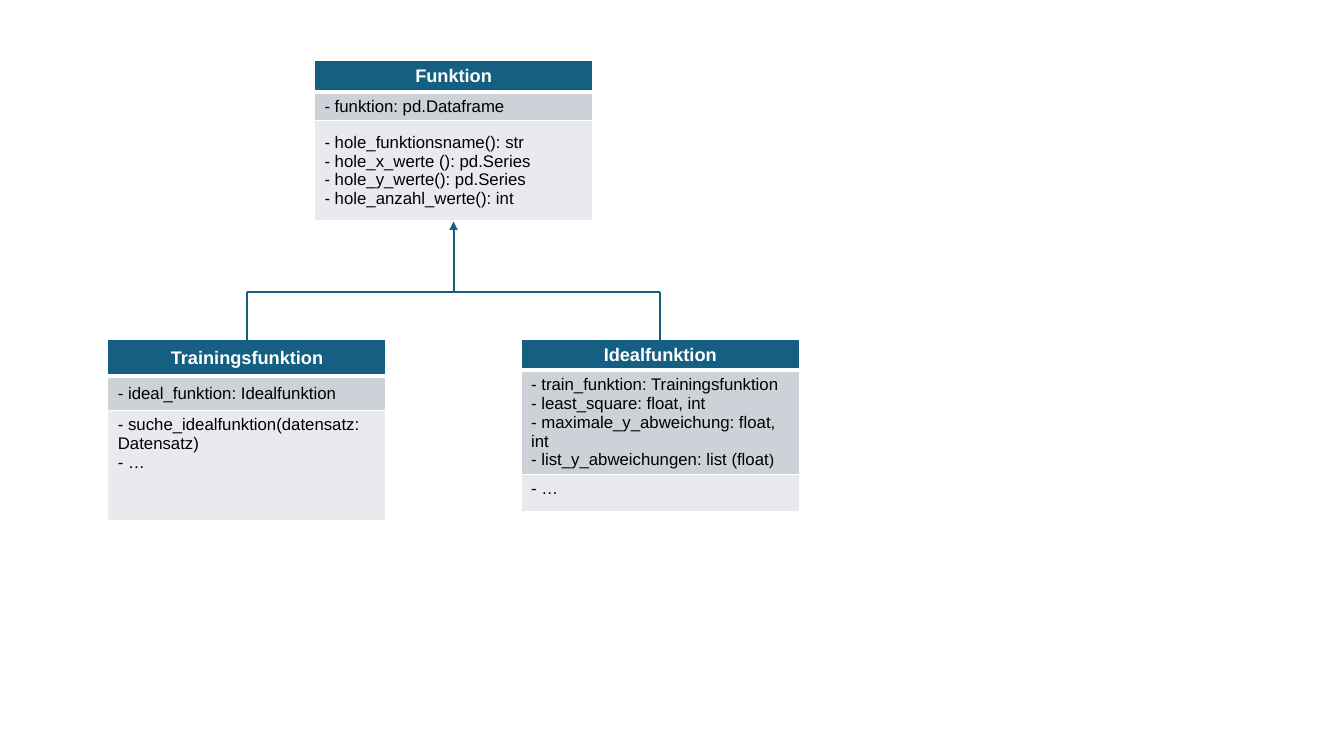
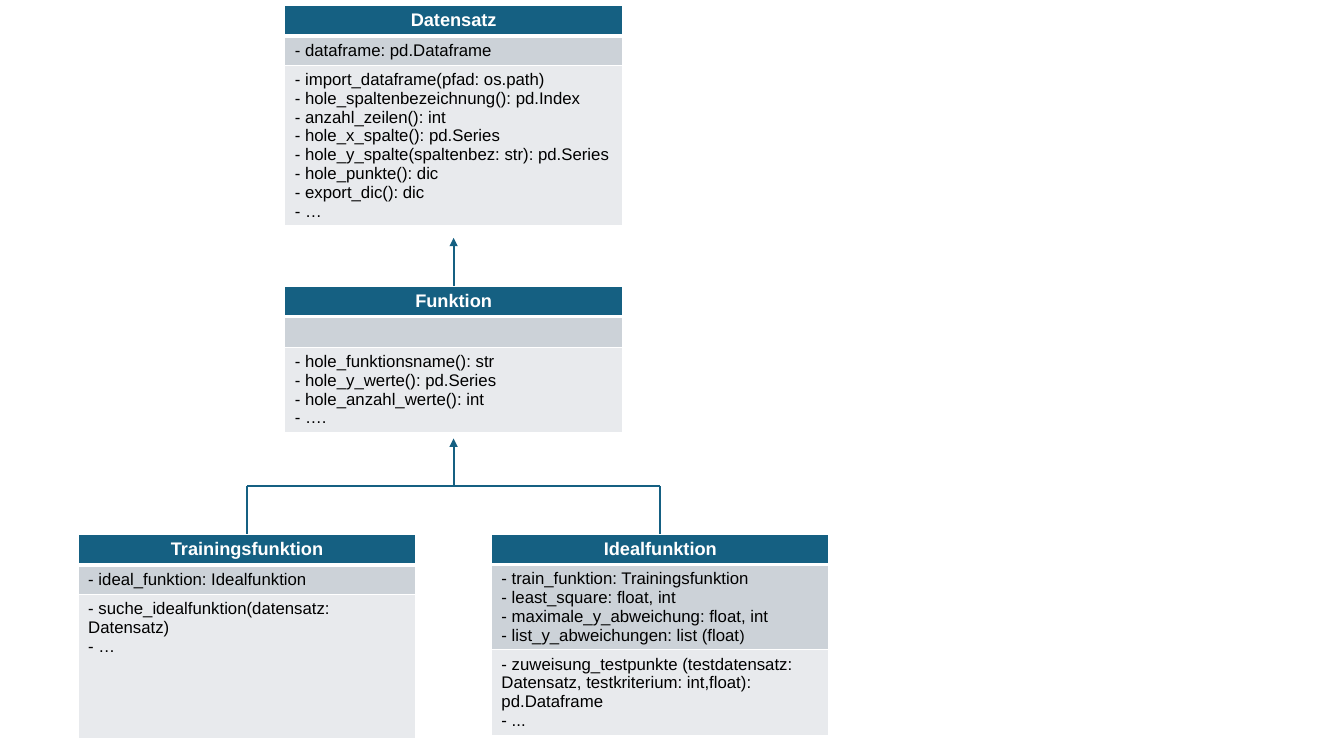
"""Build two class diagrams with tables for classes and lines for inheritance."""
from lxml import etree
from pptx import Presentation
from pptx.dml import color
from pptx.enum import shapes, text
from pptx.oxml import ns
from pptx.util import Pt

FONT = "Arial"
BLUE, GREY, PALE, WHITE, BLACK = "156082", "CCD2D8", "E8EAED", "FFFFFF", "000000"
LEFT, MIDDLE, RIGHT = 176.4, 324, 471.6
TOP_ANCHOR, MIDDLE_ANCHOR = text.MSO_ANCHOR.TOP, text.MSO_ANCHOR.MIDDLE

TRAINING_ATTRIBUTES = ["- ideal_funktion: Idealfunktion"]
TRAINING_METHODS = ["- suche_idealfunktion(datensatz: Datensatz)", "- …"]
IDEAL_ATTRIBUTES = [
    "- train_funktion: Trainingsfunktion",
    "- least_square: float, int",
    "- maximale_y_abweichung: float, int",
    ("- list_y_abweichungen: list (float", ")"),
]

DIAGRAMS = [
    {
        "width": 198.8,
        "classes": [
            {"name": "Funktion", "center": MIDDLE, "top": 43.2, "rows": (22.5, 20.2, 71),
             "anchor": MIDDLE_ANCHOR,
             "attributes": ["- funktion: pd.Dataframe"],
             "methods": ["- hole_funktionsname(): str", "- hole_x_werte (): pd.Series",
                         "- hole_y_werte(): pd.Series", "- hole_anzahl_werte(): int"]},
            {"name": "Trainingsfunktion", "center": LEFT, "top": 242.8, "rows": (26, 24.2, 78.6),
             "attributes": TRAINING_ATTRIBUTES, "methods": TRAINING_METHODS},
            {"name": "Idealfunktion", "center": RIGHT, "top": 242.8, "rows": (21.7, 73.8, 26.6),
             "attributes": IDEAL_ATTRIBUTES, "methods": ["- …"]},
        ],
        "branch": {"children": ("Trainingsfunktion", "Idealfunktion"), "y": 208.8, "tip": 158.2},
        "arrows": [],
    },
    {
        "width": 241.2,
        "classes": [
            {"name": "Datensatz", "center": MIDDLE, "top": 3.6, "rows": (22.3, 20.6, 114.6),
             "anchor": MIDDLE_ANCHOR,
             "attributes": ["- dataframe: pd.Dataframe"],
             "methods": ["- import_dataframe(pfad: os.path)",
                         "- hole_spaltenbezeichnung(): pd.Index", "- anzahl_zeilen(): int",
                         "- hole_x_spalte(): pd.Series",
                         "- hole_y_spalte(spaltenbez: str): pd.Series",
                         "- hole_punkte(): dic", "- export_dic(): dic", "- …"]},
            {"name": "Funktion", "center": MIDDLE, "top": 204.4, "rows": (21.7, 20.6, 61),
             "attributes": [],
             "methods": ["- hole_funktionsname(): str", "- hole_y_werte(): pd.Series",
                         "- hole_anzahl_werte(): int", "- …."]},
            {"name": "Trainingsfunktion", "center": LEFT, "top": 381.4, "rows": (22.3, 20.9, 103),
             "attributes": TRAINING_ATTRIBUTES, "methods": TRAINING_METHODS},
            {"name": "Idealfunktion", "center": RIGHT, "top": 381.4, "rows": (21.7, 61, 61),
             "attributes": IDEAL_ATTRIBUTES,
             "methods": ["- zuweisung_testpunkte (testdatensatz: Datensatz, "
                         "testkriterium: int,float): pd.Dataframe", "- ..."]},
        ],
        "branch": {"children": ("Trainingsfunktion", "Idealfunktion"), "y": 347, "tip": 313.2},
        "arrows": [("Funktion", 169.9)],
    },
]


def rgb(value):
    """Turn a hex string into a colour."""
    return color.RGBColor.from_string(value)


def add_xml(parent, tag, **attributes):
    """Append one drawing element with its attributes."""
    return etree.SubElement(parent, ns.qn(tag), attributes)


def write(cell, lines, size=12, colour=BLACK, bold=False, align=None, anchor=MIDDLE_ANCHOR):
    """Write one paragraph a line; the second part of a pair is one point smaller."""
    cell.vertical_anchor = anchor
    frame = cell.text_frame
    for index, line in enumerate(lines):
        paragraph = frame.add_paragraph() if index else frame.paragraphs[0]
        paragraph.alignment = align
        parts = (line,) if isinstance(line, str) else line
        for step, part in enumerate(parts):
            run = paragraph.add_run()
            run.text = part
            run.font.name, run.font.size, run.font.bold = FONT, Pt(size - step), bold
            run.font.color.rgb = rgb(colour)
    if not lines:
        add_xml(frame.paragraphs[0]._p, "a:endParaRPr", sz=str(size * 100))


def paint(cell, fill, bottom=1, top=1):
    """Give a cell white borders and a solid fill."""
    properties = cell._tc.get_or_add_tcPr()
    for side, width in (("L", 1), ("R", 1), ("T", top), ("B", bottom)):
        border = add_xml(properties, f"a:ln{side}", w=str(Pt(width)))
        add_xml(add_xml(border, "a:solidFill"), "a:srgbClr", val=WHITE)
    cell.fill.solid()
    cell.fill.fore_color.rgb = rgb(fill)


def add_class(slide, item, width):
    """Draw a class as a table of name, attributes and methods."""
    heights = item["rows"]
    frame = slide.shapes.add_table(3, 1, Pt(item["center"] - width / 2), Pt(item["top"]),
                                   Pt(width), Pt(sum(heights)))
    table = frame.table
    table.first_row = table.horz_banding = False
    for row, height in zip(table.rows, heights):
        row.height = Pt(height)
    name, attributes, methods = (table.cell(row, 0) for row in range(3))
    paint(name, BLUE, bottom=3)
    paint(attributes, GREY, top=3)
    paint(methods, PALE)
    write(name, [item["name"]], size=13, colour=WHITE, bold=True, align=text.PP_ALIGN.CENTER)
    write(attributes, item["attributes"])
    write(methods, item["methods"], anchor=item.get("anchor", TOP_ANCHOR))
    return frame


def add_line(slide, start, end, child=None, arrow=False):
    """Draw a straight line, joined to the top of a child if there is one."""
    line = slide.shapes.add_connector(shapes.MSO_CONNECTOR.STRAIGHT,
                                      *(Pt(value) for value in (*start, *end)))
    if child is not None:
        line.begin_connect(child, 0)
    line.line.color.rgb = rgb(BLUE)
    line.line.width = Pt(1.5)
    if arrow:
        add_xml(line.line._get_or_add_ln(), "a:tailEnd", type="triangle")
    add_xml(line._element.spPr, "a:effectLst")


def add_diagram(slide, diagram):
    """Draw the classes of one diagram and the lines between them."""
    frames = {item["name"]: add_class(slide, item, diagram["width"])
              for item in diagram["classes"]}
    items = {item["name"]: item for item in diagram["classes"]}
    branch = diagram["branch"]
    y = branch["y"]
    for name in branch["children"]:
        center = items[name]["center"]
        add_line(slide, (center, items[name]["top"]), (center, y), child=frames[name])
    add_line(slide, (LEFT, y), (RIGHT, y))
    add_line(slide, (MIDDLE, y), (MIDDLE, branch["tip"]), arrow=True)
    for name, tip in diagram["arrows"]:
        center = items[name]["center"]
        add_line(slide, (center, items[name]["top"]), (center, tip),
                 child=frames[name], arrow=True)


def main():
    """Build and save the presentation."""
    presentation = Presentation()
    presentation.slide_width, presentation.slide_height = Pt(960), Pt(540)
    for diagram in DIAGRAMS:
        add_diagram(presentation.slides.add_slide(presentation.slide_layouts[6]), diagram)
    presentation.save("out.pptx")


if __name__ == "__main__":
    main()
